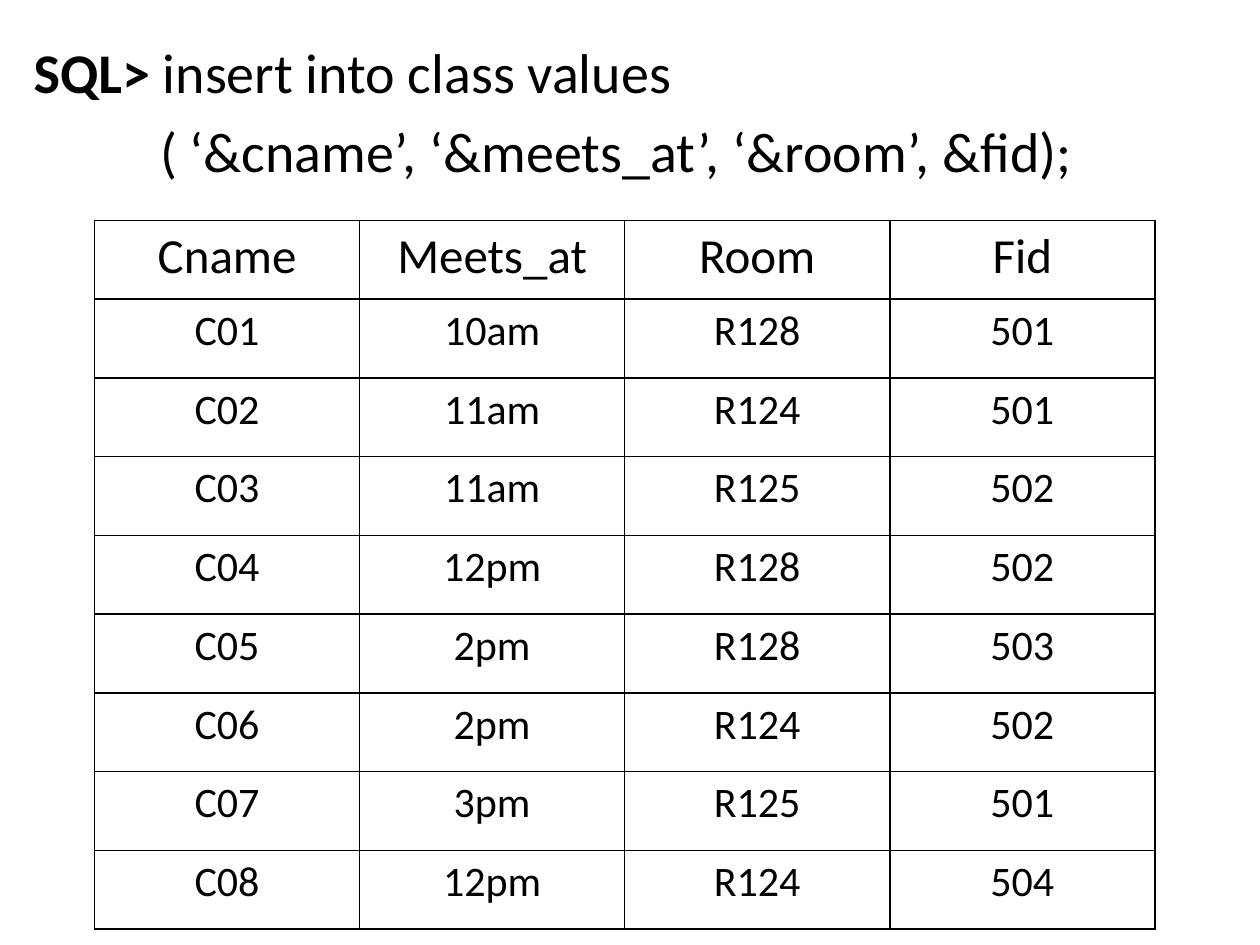
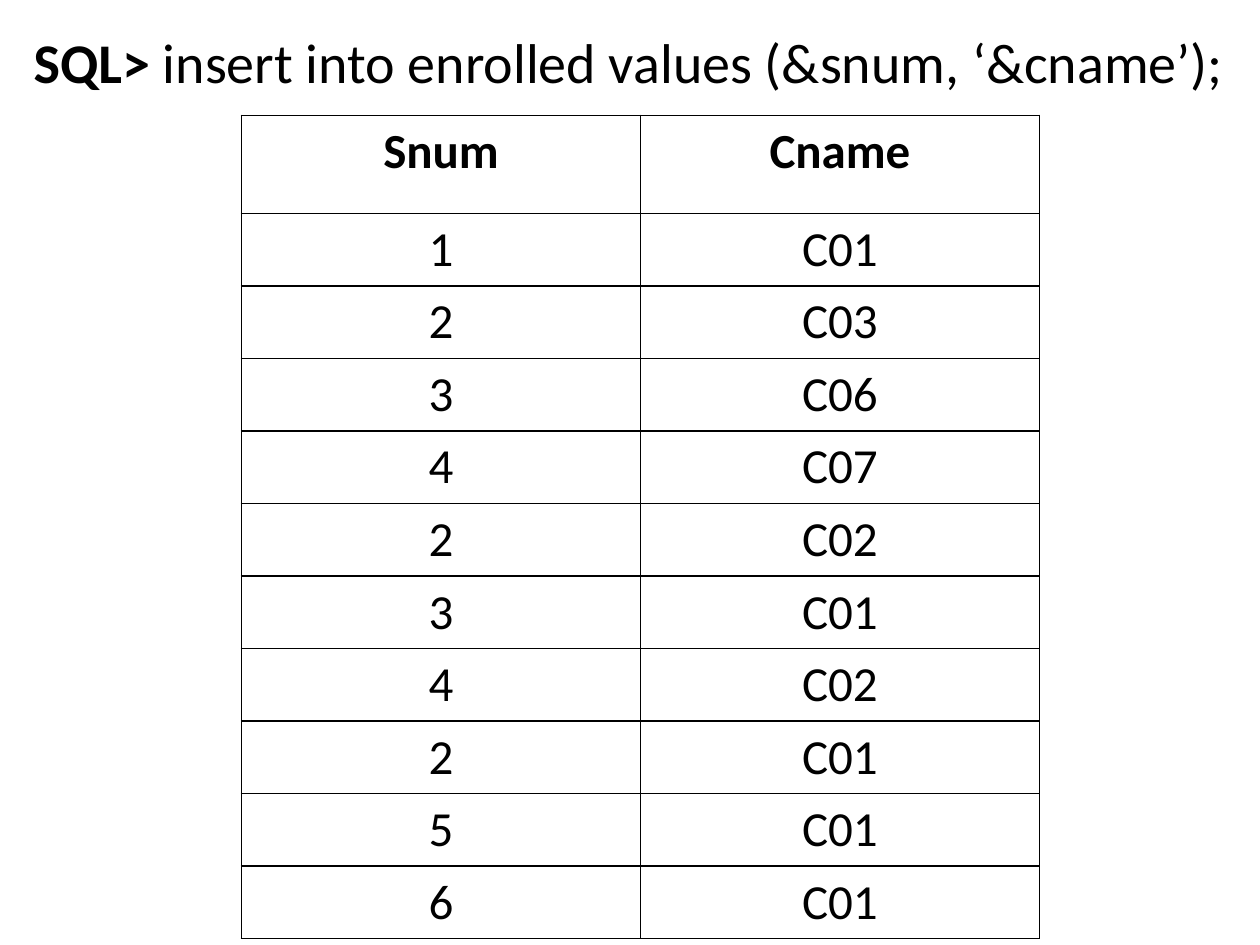
from dataclasses import dataclass

from lxml.etree import SubElement
from pptx import Presentation
from pptx.dml.color import RGBColor
from pptx.enum.text import PP_ALIGN as Align
from pptx.oxml.ns import qn
from pptx.util import Pt


@dataclass(frozen=True)
class Theme:
    font: str = "Calibri"
    ink: str = "000000"
    statement_size: int = 32
    header_size: int = 28
    border: float = 1
    continuation_indent: float = 72.3


THEME = Theme()
PROMPT = "SQL> "

# Boxes are left, top, width, height in points.
INSERTS = [
    {
        "statement": ["insert into class values",
                      "( ‘&cname’, ‘&meets_at’, ‘&room’, &fid);"],
        "statement_box": (12, 18, 690, 504),
        "header": ("Cname", "Meets_at", "Room", "Fid"),
        "header_bold": False,
        "records": [
            ("C01", "10am", "R128", "501"),
            ("C02", "11am", "R124", "501"),
            ("C03", "11am", "R125", "502"),
            ("C04", "12pm", "R128", "502"),
            ("C05", "2pm", "R128", "503"),
            ("C06", "2pm", "R124", "502"),
            ("C07", "3pm", "R125", "501"),
            ("C08", "12pm", "R124", "504"),
        ],
        "record_size": 24,
        "table_box": (54, 126, 606, 405),
        "header_height": 45,
    },
    {
        "statement": ["insert into enrolled values (&snum, ‘&cname’);"],
        "statement_box": (12, 12, 696, 510),
        "header": ("Snum", "Cname"),
        "header_bold": True,
        "records": [
            ("1", "C01"), ("2", "C03"), ("3", "C06"), ("4", "C07"),
            ("2", "C02"), ("3", "C01"), ("4", "C02"), ("2", "C01"),
            ("5", "C01"), ("6", "C01"),
        ],
        "record_size": 28,
        "table_box": (138, 66, 456, 460),
        "header_height": 56,
    },
]


def add_run(paragraph, text, size, bold=False):
    run = paragraph.add_run()
    run.text = text
    run.font.name = THEME.font
    run.font.size = Pt(size)
    run.font.bold = bold
    run.font.color.rgb = RGBColor.from_string(THEME.ink)


def remove_bullet(paragraph, indent):
    properties = paragraph._p.get_or_add_pPr()
    properties.set("marL", str(Pt(indent)))
    properties.set("indent", "0")
    SubElement(properties, qn("a:buNone"))


def write_statement(body, lines, box):
    body.left, body.top, body.width, body.height = map(Pt, box)
    frame = body.text_frame
    for number, line in enumerate(lines):
        paragraph = frame.add_paragraph() if number else frame.paragraphs[0]
        remove_bullet(paragraph, THEME.continuation_indent if number else 0)
        if number == 0:
            add_run(paragraph, PROMPT, THEME.statement_size, bold=True)
        add_run(paragraph, line, THEME.statement_size)


def outline_cell(cell):
    properties = cell._tc.get_or_add_tcPr()
    for side in ("lnL", "lnR", "lnT", "lnB"):
        line = SubElement(properties, qn(f"a:{side}"), w=str(Pt(THEME.border)))
        fill = SubElement(line, qn("a:solidFill"))
        SubElement(fill, qn("a:srgbClr"), val=THEME.ink)
    cell.fill.background()


def add_records(slide, insert):
    header, records = insert["header"], insert["records"]
    left, top, width, height = insert["table_box"]
    table = slide.shapes.add_table(
        len(records) + 1, len(header),
        Pt(left), Pt(top), Pt(width), Pt(height)).table
    table.first_row = table.horz_banding = False
    for column in table.columns:
        column.width = Pt(width / len(header))
    record_height = (height - insert["header_height"]) / len(records)

    for number, values in enumerate([header, *records]):
        is_header = number == 0
        row = table.rows[number]
        row.height = Pt(insert["header_height"] if is_header else record_height)
        size = THEME.header_size if is_header else insert["record_size"]
        for cell, value in zip(row.cells, values):
            outline_cell(cell)
            paragraph = cell.text_frame.paragraphs[0]
            paragraph.alignment = Align.CENTER
            add_run(paragraph, value, size, is_header and insert["header_bold"])


def main():
    deck = Presentation()
    deck.slide_width, deck.slide_height = Pt(720), Pt(540)
    for insert in INSERTS:
        slide = deck.slides.add_slide(deck.slide_layouts[1])
        title = slide.shapes.title
        title.element.getparent().remove(title.element)
        write_statement(slide.placeholders[1], insert["statement"],
                        insert["statement_box"])
        add_records(slide, insert)
    deck.save("out.pptx")


if __name__ == "__main__":
    main()
